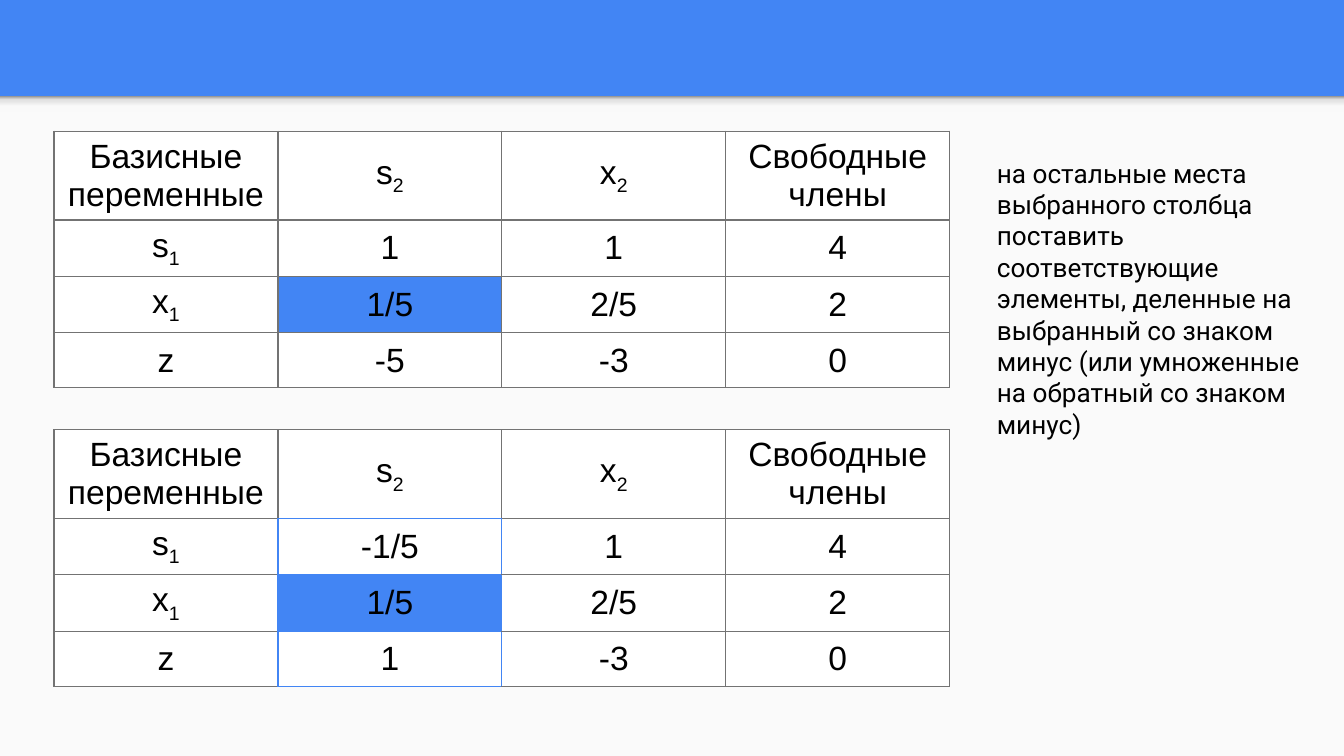
"""Build a slide comparing two simplex tables before and after a column update."""
from lxml import etree
from pptx import Presentation
from pptx.dml.color import RGBColor
from pptx.enum.shapes import MSO_SHAPE
from pptx.enum.text import MSO_ANCHOR, PP_ALIGN
from pptx.oxml.ns import qn
from pptx.util import Cm, Pt

RECTANGLE = MSO_SHAPE.RECTANGLE
MIDDLE = MSO_ANCHOR.MIDDLE
CENTER = PP_ALIGN.CENTER

COLORS = {
    "blue": "4285F4",
    "panel": "FAFAFA",
    "grid": "737373",
    "white": "FFFFFF",
    "text": "000000",
}
SHADOW_STOPS = [(0, "F9F9F9"), (36, "F9F9F9"), (80, "DEDEDE"), (100, "999999")]
SIDES = {"a:lnL": (0, -1), "a:lnR": (0, 1), "a:lnT": (-1, 0), "a:lnB": (1, 0)}
PIVOT = (2, 1)
HEADER = ["Базисные переменные", "s_2", "x_2", "Свободные члены"]
NOTE = (
    "на остальные места выбранного столбца поставить соответствующие элементы, "
    "деленные на выбранный со знаком минус (или умноженные на обратный со знаком минус)"
)


def simplex_rows(s_value, z_value):
    return [
        HEADER,
        ["s_1", s_value, "1", "4"],
        ["x_1", "1/5", "2/5", "2"],
        ["z", z_value, "-3", "0"],
    ]


class SlideBuilder:
    def __init__(self, page):
        self.page = page

    def color(self, name):
        return RGBColor.from_string(COLORS[name])

    def background(self, name):
        fill = self.page.background.fill
        fill.solid()
        fill.fore_color.rgb = self.color(name)

    def box(self, left, top, width, height):
        box = self.page.shapes.add_shape(
            RECTANGLE, Cm(left), Cm(top), Cm(width), Cm(height))
        box.shadow.inherit = False
        box.line.fill.background()
        return box

    def panel(self, *place):
        fill = self.box(*place).fill
        fill.solid()
        fill.fore_color.rgb = self.color("panel")

    def gradient_strip(self, *place):
        box = self.box(*place)
        box.fill.gradient()
        box.fill.gradient_angle = 90
        stops = box._element.spPr.find(qn("a:gradFill")).find(qn("a:gsLst"))
        for stop in list(stops):
            stops.remove(stop)
        for percent, value in SHADOW_STOPS:
            stop = etree.SubElement(stops, qn("a:gs"), pos=str(percent * 1000))
            etree.SubElement(stop, qn("a:srgbClr"), val=value)

    def style_font(self, para, name, size):
        para.font.name = name
        para.font.size = Pt(size)
        para.font.color.rgb = self.color("text")

    def text(self, left, top, width, height, words):
        frame = self.page.shapes.add_textbox(
            Cm(left), Cm(top), Cm(width), Cm(height)).text_frame
        frame.word_wrap = True
        frame.margin_left = frame.margin_right = Cm(0.25)
        frame.margin_top = frame.margin_bottom = Cm(0.25)
        para = frame.paragraphs[0]
        para.text = words
        self.style_font(para, "Roboto", 14)

    def border(self, cell, side, name):
        line = etree.SubElement(cell._tc.get_or_add_tcPr(), qn(side), w=str(Pt(0.75)))
        fill = etree.SubElement(line, qn("a:solidFill"))
        etree.SubElement(fill, qn("a:srgbClr"), val=COLORS[name])

    def fill_cell(self, cell, label, fill_name):
        cell.vertical_anchor = MIDDLE
        cell.fill.solid()
        cell.fill.fore_color.rgb = self.color(fill_name)
        para = cell.text_frame.paragraphs[0]
        para.alignment = CENTER
        self.style_font(para, "Arial", 18)
        base, _, index = label.partition("_")
        para.add_run().text = base
        if index:
            span = para.add_run()
            span.text = index
            span._r.get_or_add_rPr().set("baseline", "-25000")

    def table(self, left, top, width, height, rows, outlined=False):
        frame = self.page.shapes.add_table(
            len(rows), len(rows[0]), Cm(left), Cm(top), Cm(width), Cm(height))
        table = frame.table
        table.first_row = table.horz_banding = False

        def in_focus(row, column):
            return outlined and row > 0 and column == PIVOT[1]

        for r, labels in enumerate(rows):
            table.rows[r].height = Cm(1.04)
            for c, label in enumerate(labels):
                cell = table.cell(r, c)
                for side, (down, right) in SIDES.items():
                    focused = in_focus(r, c) or in_focus(r + down, c + right)
                    self.border(cell, side, "blue" if focused else "grid")
                self.fill_cell(cell, label, "blue" if (r, c) == PIVOT else "white")
        frame.height = Cm(height)


def main():
    deck = Presentation()
    deck.slide_width, deck.slide_height = Cm(25.4), Cm(14.29)
    builder = SlideBuilder(deck.slides.add_slide(deck.slide_layouts[6]))
    builder.background("blue")
    builder.panel(0, 1.82, 25.4, 12.47)
    builder.gradient_strip(0, 1.82, 25.4, 0.3)
    builder.table(1.02, 8.12, 16.93, 4.87, simplex_rows("-1/5", "1"), outlined=True)
    builder.table(1.02, 2.48, 16.93, 4.87, simplex_rows("1", "-5"))
    builder.text(18.59, 2.72, 6.4, 10.26, NOTE)
    deck.save("out.pptx")


if __name__ == "__main__":
    main()
